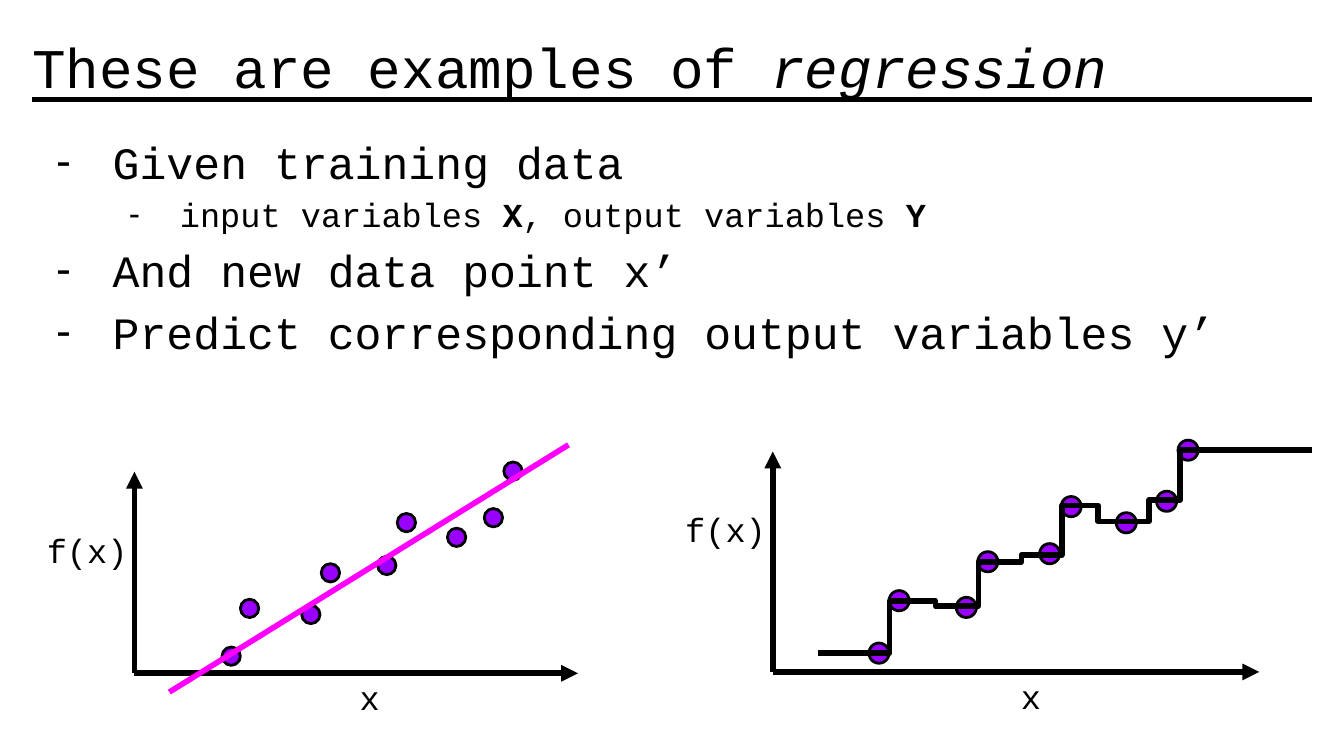
from lxml import etree
from pptx import Presentation
from pptx.dml.color import RGBColor
from pptx.enum.shapes import MSO_CONNECTOR, MSO_SHAPE
from pptx.enum.text import MSO_ANCHOR, PP_ALIGN
from pptx.oxml.ns import qn
from pptx.util import Inches, Pt

STRAIGHT = MSO_CONNECTOR.STRAIGHT
OVAL = MSO_SHAPE.OVAL
BOTTOM = MSO_ANCHOR.BOTTOM
LEFT, CENTER = PP_ALIGN.LEFT, PP_ALIGN.CENTER
FONT, BULLET_FONT = "Courier New", "Arial"
BLACK, WHITE, PURPLE, MAGENTA = "000000", "FFFFFF", "9900FF", "FF00FF"

TITLE = [("These are examples of ", {}), ("regression", {"italic": True})]
BULLETS = [
    (0, [("Given training data", {})]),
    (1, [("input variables ", {}), ("X", {"bold": True}),
         (", output variables ", {}), ("Y", {"bold": True})]),
    (0, [("And new data point x’", {})]),
    (0, [("Predict corresponding output variables y’", {})]),
]
LEVELS = [(0.5, -0.42, 24), (1, -0.38, 18)]

PLOT_WIDTH = 3.62
DOT_SIZE = 0.15
DOTS = [(0.79, 0.14), (0.94, 0.53), (1.44, 0.48), (1.6, 0.82), (2.06, 0.88),
        (2.22, 1.23), (2.63, 1.11), (2.93, 1.27), (3.09, 1.65)]
STEP_EDGES = [0.34, 0.87, 1.21, 1.53, 1.85, 2.15, 2.42, 2.8, 3.03, 4.01]
STEP_HEIGHTS = [0.14, 0.53, 0.49, 0.82, 0.87, 1.24, 1.12, 1.28, 1.65]


def color(value):
    """Turn a hex string into a colour."""
    return RGBColor.from_string(value)


def add_spans(para, spans, size):
    """Fill a paragraph with spans of text and their styles."""
    for text, style in spans:
        span = para.add_run()
        span.text = text
        span.font.name = FONT
        span.font.size = Pt(size)
        span.font.color.rgb = color(BLACK)
        for name, value in style.items():
            setattr(span.font, name, value)


def add_text_box(page, left, top, width, height):
    """Add a wrapping text box with even insets."""
    box = page.shapes.add_textbox(Inches(left), Inches(top), Inches(width), Inches(height))
    frame = box.text_frame
    frame.word_wrap = True
    frame.margin_left = frame.margin_right = Inches(0.1)
    frame.margin_top = frame.margin_bottom = Inches(0.1)
    return box


def add_line(page, start, end, hue, weight, arrow=False):
    """Draw a straight line, with an arrowhead at its end if asked."""
    line = page.shapes.add_connector(STRAIGHT, *map(Inches, (*start, *end)))
    line.line.color.rgb = color(hue)
    line.line.width = Pt(weight)
    properties = line._element.spPr
    if arrow:
        etree.SubElement(properties.find(qn("a:ln")), qn("a:tailEnd"), type="triangle")
    etree.SubElement(properties, qn("a:effectLst"))


def add_title(page, left, top, width, height):
    """Place the title and the rule under it."""
    rule = top + 0.53
    add_line(page, (left + 0.1, rule), (left + width - 0.1, rule), BLACK, 2.25)
    frame = add_text_box(page, left, top, width, height).text_frame
    frame.vertical_anchor = BOTTOM
    add_spans(frame.paragraphs[0], TITLE, 30)


def add_bullets(page, left, top, width, height):
    """Place the two-level dashed list on a translucent panel."""
    box = add_text_box(page, left, top, width, height)
    box.fill.solid()
    box.fill.fore_color.rgb = color(WHITE)
    tint = box._element.spPr.find(qn("a:solidFill")).find(qn("a:srgbClr"))
    etree.SubElement(tint, qn("a:alpha"), val="60000")
    frame = box.text_frame
    for index, (level, spans) in enumerate(BULLETS):
        para = frame.add_paragraph() if index else frame.paragraphs[0]
        margin, indent, size = LEVELS[level]
        para.level = level
        para.line_spacing = 1.15
        properties = para._p.get_or_add_pPr()
        properties.set("marL", str(Inches(margin)))
        properties.set("indent", str(Inches(indent)))
        etree.SubElement(properties, qn("a:buFont"), typeface=BULLET_FONT)
        etree.SubElement(properties, qn("a:buChar"), char="-")
        add_spans(para, spans, size)


def add_plot(page, left, top, width, height):
    """Draw axes, their labels and the data dots in the box of the axes."""
    scale = width / PLOT_WIDTH
    bottom = top + height
    labels = [("f(x)", left - 0.75, top + 0.33, 1.61, LEFT),
              ("x", left + 0.11 * scale, bottom - 0.07, PLOT_WIDTH, CENTER)]
    for text, label_left, label_top, label_width, alignment in labels:
        box = add_text_box(page, label_left, label_top, label_width * scale, 0.56 * scale)
        para = box.text_frame.paragraphs[0]
        para.alignment = alignment
        add_spans(para, [(text, {})], 18)
    size = DOT_SIZE * scale
    for x, y in DOTS:
        dot = page.shapes.add_shape(
            OVAL, Inches(left + x * scale - size / 2), Inches(bottom - y * scale - size / 2),
            Inches(size), Inches(size))
        dot.shadow.inherit = False
        dot.fill.solid()
        dot.fill.fore_color.rgb = color(PURPLE)
        dot.line.color.rgb = color(BLACK)
        dot.line.width = Pt(1.5)
    for end in ((left, top), (left + width, bottom)):
        add_line(page, (left, bottom), end, BLACK, 3, arrow=True)


def add_linear_plot(page, left, top, width, height):
    """Draw the plot with a straight fit."""
    add_plot(page, left, top, width, height)
    bottom = top + height
    add_line(page, (left + 0.26, bottom + 0.14), (left + 3.23, bottom - 1.7), MAGENTA, 3)


def add_step_plot(page, left, top, width, height):
    """Draw the plot with a stepped fit."""
    add_plot(page, left, top, width, height)
    bottom = top + height
    points = [(Inches(left + x), Inches(bottom - y))
              for start, end, y in zip(STEP_EDGES, STEP_EDGES[1:], STEP_HEIGHTS)
              for x in (start, end)]
    builder = page.shapes.build_freeform(*points[0])
    builder.add_line_segments(points[1:], close=False)
    steps = builder.convert_to_shape()
    steps.shadow.inherit = False
    steps.fill.background()
    steps.line.color.rgb = color(BLACK)
    steps.line.width = Pt(3)


def main():
    """Build and save the deck."""
    deck = Presentation()
    deck.slide_width, deck.slide_height = Inches(10), Inches(10 * 9 / 16)
    page = deck.slides.add_slide(deck.slide_layouts[6])
    add_title(page, 0.14, 0.21, 9.72, 0.63)
    add_bullets(page, 0.24, 0.84, 9.51, 4.65)
    add_step_plot(page, 5.75, 3.36, 3.62, 1.64)
    add_linear_plot(page, 1, 3.51, 3.3, 1.5)
    deck.save("out.pptx")


if __name__ == "__main__":
    main()
